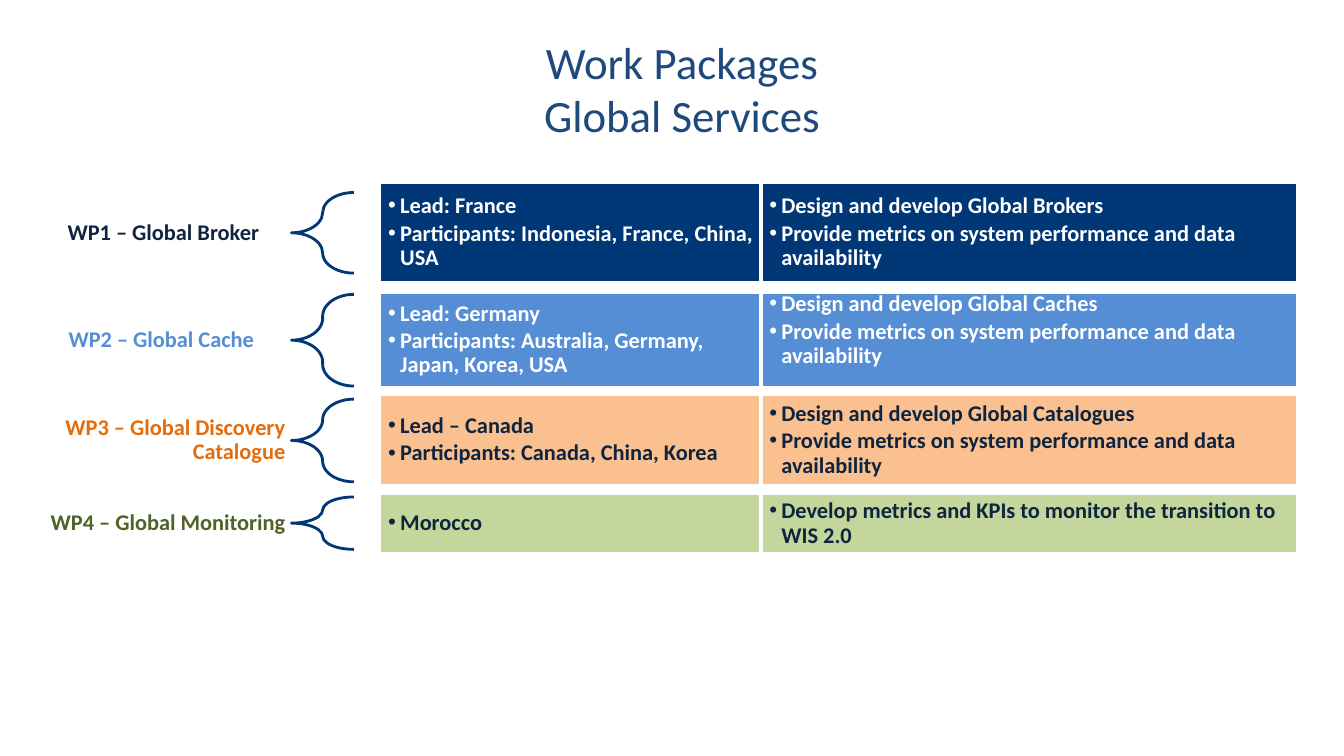
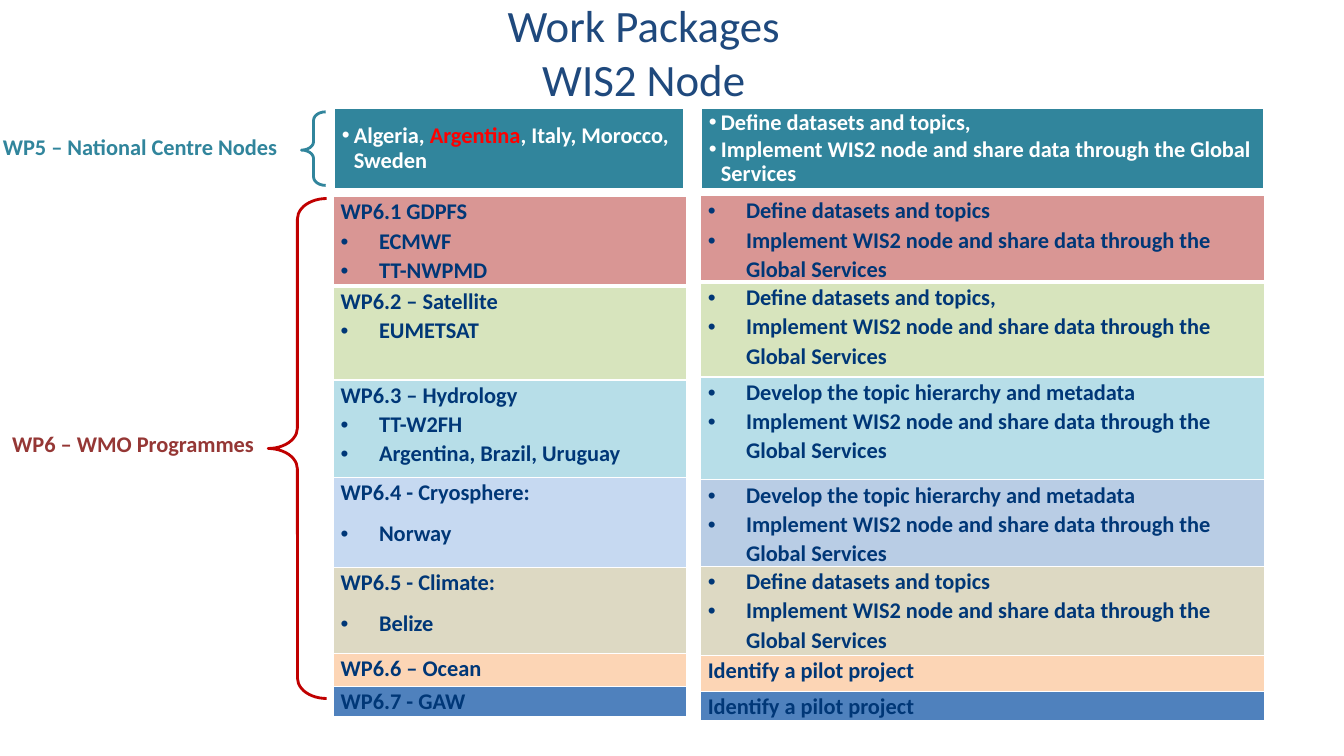
from dataclasses import dataclass

from lxml.etree import SubElement
from pptx import Presentation
from pptx.dml.color import RGBColor
from pptx.enum.shapes import MSO_SHAPE as Preset
from pptx.enum.text import MSO_ANCHOR as Anchor, PP_ALIGN as Align
from pptx.oxml.ns import qn
from pptx.util import Inches, Pt


@dataclass(frozen=True)
class Theme:
    font: str = "Calibri"
    title_size: int = 32
    body_size: int = 16
    line_width: int = 2
    title: str = "1F497D"
    navy: str = "003777"
    blue: str = "558ED5"
    peach: str = "FAC090"
    green: str = "C3D69B"
    teal: str = "31859C"
    ink: str = "0F243E"
    white: str = "FFFFFF"
    alert: str = "FF0000"
    orange: str = "E46C0A"
    olive: str = "4F6228"
    maroon: str = "953735"
    crimson: str = "C00000"
    rose: str = "D99694"
    lime: str = "D7E4BD"
    aqua: str = "B7DEE8"
    ice: str = "C6D9F1"
    mist: str = "B9CDE5"
    sand: str = "DDD9C3"
    apricot: str = "FCD5B5"
    steel: str = "4F81BD"


THEME = Theme()
METRICS = "Provide metrics on system performance and data availability"
SHARE = "Implement WIS2 node and share data through the Global Services"
DEFINE = "Define datasets and topics"
HIERARCHY = "Develop the topic hierarchy and metadata"
PILOT = "Identify a pilot project"


def rgb(code):
    return RGBColor.from_string(code)


def write(paragraph, text, color=THEME.ink, size=THEME.body_size, bold=True,
          align=Align.LEFT, spacing=0.9, after=0, indent=0):
    if indent:
        props = paragraph._p.get_or_add_pPr()
        props.set("marL", str(Inches(indent)))
        props.set("indent", str(-Inches(indent)))
        SubElement(props, qn("a:buFont")).set("typeface", "Arial")
        SubElement(props, qn("a:buChar")).set("char", "•")
    paragraph.alignment = align
    paragraph.line_spacing = spacing
    paragraph.space_after = Pt(after)
    pieces = [(text, color)] if isinstance(text, str) else text
    for words, tint in pieces:
        run = paragraph.add_run()
        run.text = words
        run.font.name = THEME.font
        run.font.size = Pt(size)
        run.font.bold = bold
        run.font.color.rgb = rgb(tint)


def fill_frame(frame, lines, **style):
    for index, line in enumerate(lines):
        paragraph = frame.add_paragraph() if index else frame.paragraphs[0]
        write(paragraph, line, **style)


def set_margins(holder, left, top, right, bottom):
    holder.margin_left, holder.margin_top = Inches(left), Inches(top)
    holder.margin_right, holder.margin_bottom = Inches(right), Inches(bottom)


def add_text(slide, box, lines, anchor=Anchor.TOP, margins=(0.1, 0.05, 0.1, 0.05), **style):
    frame = slide.shapes.add_textbox(*map(Inches, box)).text_frame
    frame.word_wrap = True
    frame.vertical_anchor = anchor
    set_margins(frame, *margins)
    fill_frame(frame, lines, **style)


def add_title(slide, left, top, lines):
    add_text(slide, (left, top, 5.69, 1.18), lines, color=THEME.title, bold=False,
             size=THEME.title_size, align=Align.CENTER, spacing=1)


def add_label(slide, right, middle, text, color):
    add_text(slide, (0, middle - 0.25, right, 0.5), [text], anchor=Anchor.MIDDLE,
             margins=(0, 0.04, 0.11, 0.04), color=color, align=Align.RIGHT)


def add_brace(slide, box, color, point=0.5):
    brace = slide.shapes.add_shape(Preset.LEFT_BRACE, *map(Inches, box))
    brace.shadow.inherit = False
    brace.adjustments[0], brace.adjustments[1] = 0.35, point
    brace.fill.background()
    brace.line.color.rgb = rgb(color)
    brace.line.width = Pt(THEME.line_width)


def add_panel(slide, box, fill, lines, color, anchor=Anchor.MIDDLE):
    panel = slide.shapes.add_shape(Preset.RECTANGLE, *map(Inches, box))
    panel.shadow.inherit = False
    panel.fill.solid()
    panel.fill.fore_color.rgb = rgb(fill)
    panel.line.color.rgb = rgb(THEME.white)
    panel.line.width = Pt(THEME.line_width)
    frame = panel.text_frame
    frame.word_wrap = True
    frame.vertical_anchor = anchor
    set_margins(frame, 0.08, 0, 0, 0)
    fill_frame(frame, lines, color=color, after=2.4, indent=0.12)


def add_borders(cell, widths):
    props = cell._tc.get_or_add_tcPr()
    for side, width in zip("LRTB", widths):
        edge = SubElement(props, qn(f"a:ln{side}"), w=str(Pt(width)))
        paint = SubElement(edge, qn("a:solidFill"))
        SubElement(paint, qn("a:srgbClr")).set("val", THEME.white)


def add_programmes(slide, left, top, width, rows):
    height = sum(row[0] for row in rows)
    table = slide.shapes.add_table(
        len(rows), 1, *map(Inches, (left, top, width, height))).table
    table.first_row = table.horz_banding = False
    for index, (row_height, fill, heading, bullets, gap) in enumerate(rows):
        table.rows[index].height = Inches(row_height)
        cell = table.cell(index, 0)
        set_margins(cell, 0.07, 0, 0.07, 0)
        add_borders(cell, (1, 1, 3 if index == 1 else 1, 3 if index == 0 else 1))
        cell.fill.solid()
        cell.fill.fore_color.rgb = rgb(fill)
        frame = cell.text_frame
        style = dict(color=THEME.navy, spacing=1.07)
        if heading:
            write(frame.paragraphs[0], heading, after=gap, **style)
        for number, bullet in enumerate(bullets):
            fresh = heading or number
            write(frame.add_paragraph() if fresh else frame.paragraphs[0],
                  bullet, indent=0.38, **style)


def build_global_services(slide):
    add_title(slide, 3.92, 0.29, ["Work Packages", "Global Services"])
    packages = [
        ("WP1 – Global Broker", 2.68, THEME.ink, THEME.navy, THEME.white,
         (1.81, 0.99), (1.91, 0.8), Anchor.MIDDLE,
         ["Lead: France", "Participants: Indonesia, France, China, USA"],
         ["Design and develop Global Brokers", METRICS]),
        ("WP2 – Global Cache", 2.63, THEME.blue, THEME.blue, THEME.white,
         (2.9, 0.94), (2.92, 0.91), Anchor.TOP,
         ["Lead: Germany", "Participants: Australia, Germany, Japan, Korea, USA"],
         ["Design and develop Global Caches", METRICS]),
        ("WP3 – Global Discovery Catalogue", 2.94, THEME.orange, THEME.peach, THEME.ink,
         (3.91, 0.91), (3.96, 0.82), Anchor.MIDDLE,
         ["Lead – Canada", "Participants: Canada, China, Korea"],
         ["Design and develop Global Catalogues", METRICS]),
        ("WP4 – Global Monitoring", 2.94, THEME.olive, THEME.green, THEME.ink,
         (4.9, 0.59), (4.93, 0.52), Anchor.MIDDLE,
         ["Morocco"],
         ["Develop metrics and KPIs to monitor the transition to WIS 2.0"]),
    ]
    for (name, right, tint, fill, ink, (top, height), (brace_top, brace_height),
         task_anchor, members, tasks) in packages:
        add_label(slide, right, brace_top + brace_height / 2, name, tint)
        add_brace(slide, (2.89, brace_top, 0.62, brace_height), THEME.navy)
        add_panel(slide, (3.77, top, 3.77, height), fill, members, ink)
        add_panel(slide, (7.55, top, 5.32, height), fill, tasks, ink, task_anchor)


def build_wis2_node(slide):
    add_title(slide, 3.54, -0.07, ["Work Packages", "WIS2 Node"])
    add_label(slide, 2.63, 4.42, "WP6 – WMO Programmes", THEME.maroon)
    add_brace(slide, (2.66, 1.97, 0.58, 4.96), THEME.crimson)
    add_label(slide, 2.86, 1.47, "WP5 – National Centre Nodes", THEME.teal)
    add_brace(slide, (2.99, 1.11, 0.24, 0.73), THEME.teal, point=0.52)

    countries = [("Algeria, ", THEME.white), ("Argentina", THEME.alert),
                 (", Italy, Morocco, Sweden", THEME.white)]
    add_panel(slide, (3.31, 1.07, 3.48, 0.81), THEME.teal, [countries], THEME.white)
    add_panel(slide, (6.95, 1.07, 5.59, 0.81), THEME.teal,
              [DEFINE + ",", SHARE], THEME.white)

    add_programmes(slide, 3.31, 1.95, 3.5, [
        (0.89, THEME.rose, "WP6.1 GDPFS", ["ECMWF", "TT-NWPMD"], 0),
        (0.93, THEME.lime, "WP6.2 – Satellite", ["EUMETSAT"], 0),
        (0.97, THEME.aqua, "WP6.3 – Hydrology",
         ["TT-W2FH", "Argentina, Brazil, Uruguay"], 0),
        (0.89, THEME.ice, "WP6.4 - Cryosphere:", ["Norway"], 8),
        (0.85, THEME.sand, "WP6.5 - Climate:", ["Belize"], 8),
        (0.33, THEME.apricot, "WP6.6 – Ocean", [], 0),
        (0.3, THEME.steel, "WP6.7 - GAW", [], 0),
    ])
    add_programmes(slide, 6.95, 1.94, 5.59, [
        (0.86, THEME.rose, None, [DEFINE, SHARE], 0),
        (0.94, THEME.lime, None, [DEFINE + ",", SHARE], 0),
        (1.02, THEME.aqua, None, [HIERARCHY, SHARE], 0),
        (0.86, THEME.mist, None, [HIERARCHY, SHARE], 0),
        (0.88, THEME.sand, None, [DEFINE, SHARE], 0),
        (0.36, THEME.apricot, PILOT, [], 0),
        (0.28, THEME.steel, PILOT, [], 0),
    ])


def main():
    deck = Presentation()
    deck.slide_width, deck.slide_height = Inches(13.33), Inches(7.5)
    for build in (build_global_services, build_wis2_node):
        build(deck.slides.add_slide(deck.slide_layouts[6]))
    deck.save("out.pptx")


if __name__ == "__main__":
    main()
